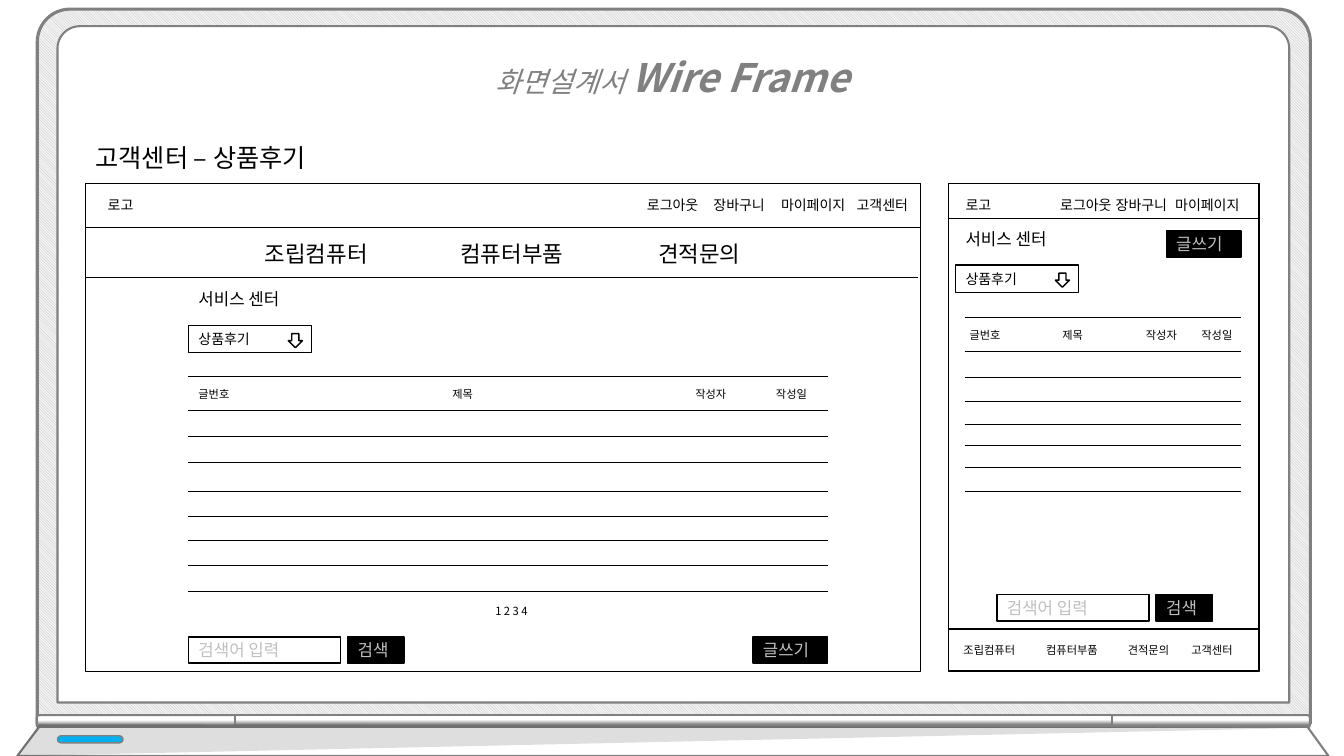
import pptx
import pptx.dml.color
import pptx.enum.dml
import pptx.enum.shapes
import pptx.enum.text
import pptx.oxml
import pptx.oxml.ns
import pptx.util

# The slide is laid out on a grid of square cells, ten to the inch.
CELL = pptx.util.Inches(0.1)
COLUMNS, ROWS = 133.33, 75
FONT = "Noto Sans CJK KR"
COLORS = {
    "black": "000000", "white": "FFFFFF", "gray": "808080", "silver": "BFBFBF",
    "mist": "F2F2F2", "blue": "00B0F0",
}
SHAPE = pptx.enum.shapes.MSO_SHAPE
ALIGN = pptx.enum.text.PP_ALIGN
ANCHOR = pptx.enum.text.MSO_ANCHOR

DESKTOP_RULES = (37.3, 40.7, 43.3, 45.9, 48.7, 51.2, 53.6, 56.1, 58.7)
MOBILE_RULES = (31.5, 34.9, 37.4, 39.8, 42.1, 44.2, 46.4, 48.7)
BOARD_HEADINGS = ("글번호", "제목", "작성자", "작성일")
FOOTER_MENU = ("조립컴퓨터", "컴퓨터부품", "견적문의", "고객센터")


def cells(*values):
    return [pptx.util.Emu(round(value * CELL)) for value in values]


def rgb(color):
    return pptx.dml.color.RGBColor.from_string(COLORS[color])


def add_element(parent, tag, **attributes):
    element = pptx.oxml.parse_xml(f"<{tag} {pptx.oxml.ns.nsdecls('a')}/>")
    for name, value in attributes.items():
        element.set(name, str(value))
    parent.append(element)
    return element


def write(paragraph, text, size=10, color="black", bold=False, italic=False):
    run = paragraph.add_run()
    run.text = text
    font = run.font
    font.size = pptx.util.Pt(size)
    font.bold, font.italic = bold, italic
    font.color.rgb = rgb(color)
    font.name = FONT
    add_element(run.font._element, "a:ea", typeface=FONT)


def add_label(slide, left, top, width, height, text, align=ALIGN.LEFT, tabs=(), **text_format):
    """Add a text box; tabs are distances in cells from the start of the text."""
    shape = slide.shapes.add_textbox(*cells(left, top, width, height))
    frame = shape.text_frame
    frame.word_wrap = True
    frame.auto_size = pptx.enum.text.MSO_AUTO_SIZE.SHAPE_TO_FIT_TEXT
    paragraph = frame.paragraphs[0]
    paragraph.alignment = align
    if tabs:
        tab_list = add_element(paragraph._p.get_or_add_pPr(), "a:tabLst")
        for position in cells(*tabs):
            add_element(tab_list, "a:tab", pos=position, algn="l")
    write(paragraph, text, **text_format)


def add_outline(shape, color, weight):
    shape.shadow.inherit = False
    shape.line.color.rgb = rgb(color)
    shape.line.width = pptx.util.Pt(weight)


def add_box(parent, left, top, width, height, kind=SHAPE.RECTANGLE, fill="white",
            line="black", weight=1, corners=()):
    shape = parent.shapes.add_shape(kind, *cells(left, top, width, height))
    shape.fill.solid()
    shape.fill.fore_color.rgb = rgb(fill)
    add_outline(shape, line, weight)
    for index, corner in enumerate(corners):
        shape.adjustments[index] = corner
    return shape


def add_control(slide, left, top, width, height, text, fill="white", **text_format):
    """Add an input field or a button with its text at the left."""
    frame = add_box(slide, left, top, width, height, fill=fill).text_frame
    frame.word_wrap = True
    frame.vertical_anchor = ANCHOR.MIDDLE
    frame.paragraphs[0].alignment = ALIGN.LEFT
    write(frame.paragraphs[0], text, **text_format)


def add_button(slide, left, top, width, text):
    add_control(slide, left, top, width, 2.6, text, fill="black", size=12, color="silver")


def add_search(slide, left, top):
    add_control(slide, left, top, 15.1, 2.6, "검색어 입력", size=12, color="silver")
    add_button(slide, left + 15.8, top, 5.6, "검색")


def add_dropdown(slide, left, top, text):
    add_control(slide, left, top, 12.2, 2.7, text)
    add_box(slide, left + 9.9, top + 0.8, 1.4, 1.4, kind=SHAPE.DOWN_ARROW)


def add_rule(slide, left, right, row):
    line = slide.shapes.add_connector(
        pptx.enum.shapes.MSO_CONNECTOR.STRAIGHT, *cells(left, row, right, row))
    line.line.color.rgb = rgb("black")
    line.line.width = pptx.util.Pt(0.5)
    add_element(line._element.spPr, "a:effectLst")


def add_board(slide, left, right, rules, heading_columns):
    """Add the ruled list of posts with its headings between the first two rules."""
    for row in rules:
        add_rule(slide, left, right, row)
    for column, heading in zip(heading_columns, BOARD_HEADINGS):
        add_label(slide, column, rules[0] + 0.6, 6, 2.4, heading, size=8)


def add_outline_shape(parent, points):
    start, *others = [cells(*point) for point in points]
    builder = parent.shapes.build_freeform(*start)
    builder.add_line_segments(others, close=True)
    shape = builder.convert_to_shape()
    shape.fill.solid()
    return shape


def add_hinge(parent, left, top, length, corner, rotation):
    """Add a bar that is drawn upright and turned onto its side."""
    bar = add_box(parent, left, top, 1.2, length, SHAPE.ROUND_2_SAME_RECTANGLE,
                  line="gray", weight=1.5, corners=(corner, 0))
    bar.rotation = rotation
    bar.fill.gradient()
    bar.fill.gradient_angle = 0
    stops = zip(bar.fill.gradient_stops, ("gray", "white"), (0.17, 0.59))
    for stop, color, position in stops:
        stop.color.rgb = rgb(color)
        stop.position = position
    if rotation == 90:
        bar._element.spPr.find(pptx.oxml.ns.qn("a:xfrm")).set("flipH", "1")


def add_laptop(slide):
    laptop = slide.shapes.add_group_shape()
    lid = add_box(laptop, 3.7, 0.9, 126.3, 70.9, SHAPE.ROUND_2_SAME_RECTANGLE,
                  line="gray", weight=2.25, corners=(0.046, 0))
    lid.fill.patterned()
    lid.fill.pattern = pptx.enum.dml.MSO_PATTERN.LIGHT_DOWNWARD_DIAGONAL
    lid.fill.fore_color.rgb = rgb("silver")
    lid.fill.back_color.rgb = rgb("mist")
    add_box(laptop, 5.7, 2.6, 122.2, 67.1, SHAPE.ROUND_2_SAME_RECTANGLE,
            line="gray", weight=1.5, corners=(0.033, 0))
    add_hinge(laptop, 12.9, 61.7, 19.7, 0.193, 270)
    add_hinge(laptop, 119.5, 61.7, 19.7, 0.193, 90)
    add_hinge(laptop, 66.2, 28, 87, 0, 270)
    base = add_outline_shape(laptop, [(3.9, 72.1), (129.7, 72.1), (131.8, 75), (1.7, 75)])
    base.fill.fore_color.rgb = rgb("white")
    add_outline(base, "gray", 1.5)
    shade = add_outline_shape(laptop, [(3.9, 71.8), (1.7, 75), (130.2, 72.2)])
    shade.fill.fore_color.rgb = rgb("black")
    shade.line.fill.background()
    shade.shadow.inherit = False
    color = next(shade._element.spPr.iter(pptx.oxml.ns.qn("a:srgbClr")))
    add_element(color, "a:alpha", val=13000)
    add_box(laptop, 5.7, 73, 6.5, 0.7, SHAPE.ROUNDED_RECTANGLE, fill="blue",
            line="gray", corners=(0.5,))


def add_title(slide):
    title = slide.shapes.title
    title.left, title.top, title.width, title.height = cells(36.7, 2.5, 60, 8.1)
    frame = title.text_frame
    frame.word_wrap = True
    frame.auto_size = pptx.enum.text.MSO_AUTO_SIZE.NONE
    frame.vertical_anchor = ANCHOR.TOP
    paragraph = frame.paragraphs[0]
    paragraph.alignment = ALIGN.CENTER
    paragraph.line_spacing = 1.5
    write(paragraph, "화면설계서 ", size=20, color="gray", italic=True)
    write(paragraph, "Wire Frame", size=28, color="gray", bold=True, italic=True)
    title._element.getparent().append(title._element)  # in front of the laptop


def add_desktop_screen(slide):
    add_label(slide, 8.5, 13.6, 31.1, 4, "고객센터 – 상품후기", size=18)
    add_box(slide, 8.5, 18.2, 82.8, 48.4)
    add_box(slide, 8.5, 18.2, 82.8, 4.4)
    add_label(slide, 9.7, 19, 24.1, 2.7, "로고")
    add_label(slide, 63.2, 19, 29, 2.7, "로그아웃\t장바구니\t마이페이지\t고객센터",
              tabs=(6.6, 13.3, 20.8))
    add_label(slide, 25.3, 23.3, 60, 3.7, "조립컴퓨터\t컴퓨터부품\t견적문의",
              tabs=(19.4, 39), size=16)
    add_rule(slide, 8.5, 91.1, 27.5)
    add_label(slide, 18.7, 28.2, 12.2, 3, "서비스 센터", size=12)
    add_dropdown(slide, 18.7, 32.3, "상품후기")
    add_board(slide, 18.7, 82.1, DESKTOP_RULES, (18.7, 43.9, 68, 76))
    add_label(slide, 37.9, 59.5, 25.7, 2.4, "1 2 3 4", align=ALIGN.CENTER, size=8)
    add_search(slide, 18.7, 63.2)
    add_button(slide, 74.7, 63.2, 7.4, "글쓰기")


def add_mobile_screen(slide):
    add_box(slide, 94.1, 18.2, 30.8, 48.4)
    add_label(slide, 94.8, 19, 5.2, 2.7, "로고")
    add_label(slide, 104.2, 19, 20.6, 2.7, "로그아웃\t장바구니\t마이페이지", tabs=(5.5, 11.4))
    add_rule(slide, 94.1, 124.8, 21.7)
    add_label(slide, 94.8, 22.2, 12.2, 3, "서비스 센터", size=12)
    add_button(slide, 115.7, 22.9, 7.4, "글쓰기")
    add_dropdown(slide, 94.8, 26.3, "상품후기")
    add_board(slide, 95.7, 123.1, MOBILE_RULES, (95.2, 104.4, 112.7, 118.2))
    add_search(slide, 98.9, 59)
    add_box(slide, 94.1, 62.4, 30.8, 4.1)
    for column, item in zip((94.6, 102.8, 110.9, 117.2), FOOTER_MENU):
        add_label(slide, column, 63.3, 8.2, 2.4, item, size=8)


def main():
    presentation = pptx.Presentation()
    presentation.slide_width, presentation.slide_height = cells(COLUMNS, ROWS)
    slide = presentation.slides.add_slide(presentation.slide_layouts.get_by_name("Title Only"))
    add_laptop(slide)
    add_title(slide)
    add_desktop_screen(slide)
    add_mobile_screen(slide)
    presentation.save("out.pptx")


if __name__ == "__main__":
    main()
